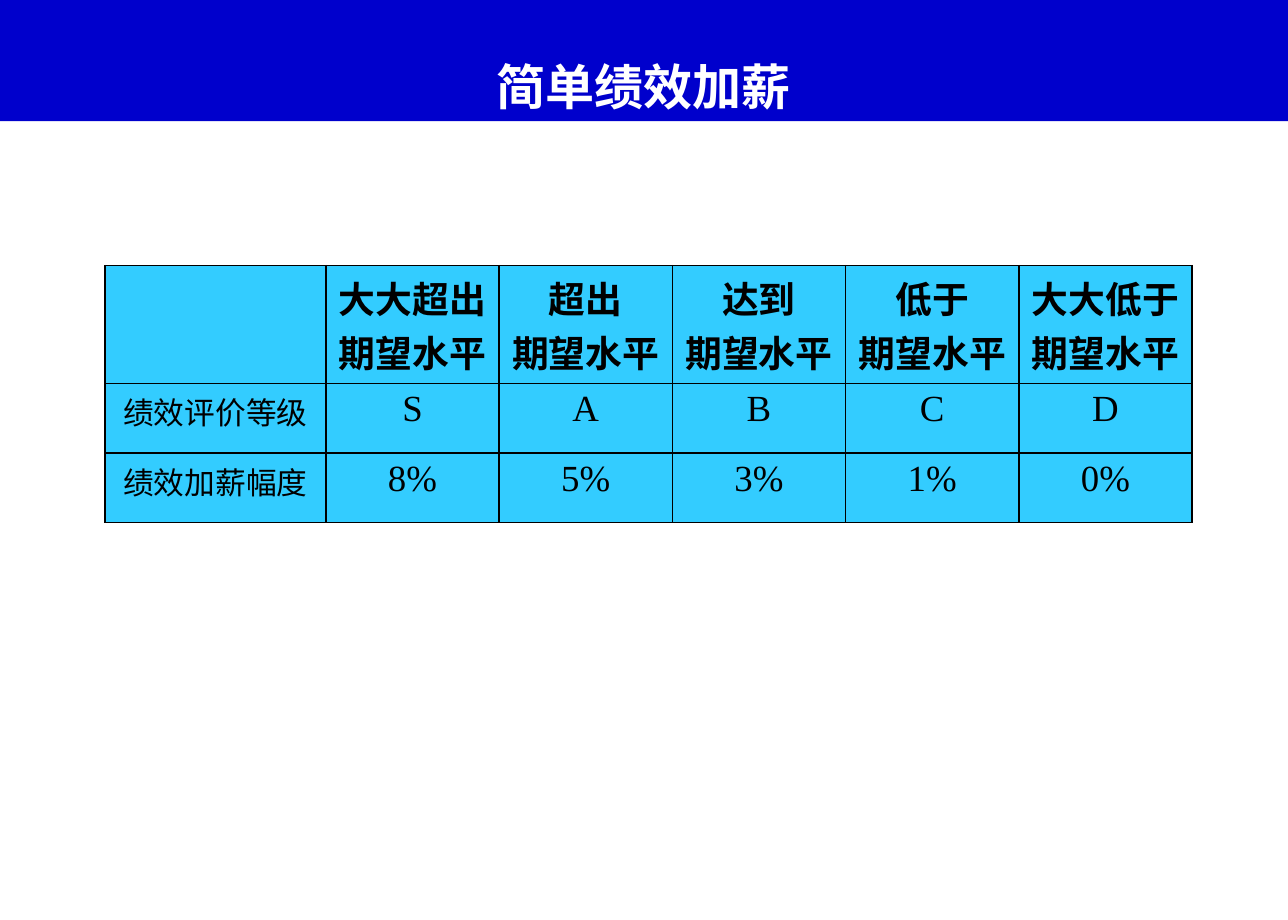
from pptx import Presentation
from pptx.dml.color import RGBColor
from pptx.enum.text import MSO_ANCHOR as Anchor, MSO_AUTO_SIZE as AutoSize, PP_ALIGN as Align
from pptx.oxml.ns import qn
from pptx.util import Pt
from lxml.etree import SubElement

BLUE = RGBColor(0x00, 0x00, 0xCC)
SKY = RGBColor(0x33, 0xCC, 0xFF)
BLACK = RGBColor(0x00, 0x00, 0x00)
WHITE = RGBColor(0xFF, 0xFF, 0xFF)
CHINESE_FONT = "Noto Sans CJK SC"
LATIN_FONT = "Times New Roman"

COLUMN_WIDTHS = [144] + [113] * 5
ROW_HEIGHTS = [75.6, 45.4, 45.4]
HANGING = Pt(31)
LEVELS = ["大大超出", "超出", "达到", "低于", "大大低于"]
ROWS = [
    [""] + [f"{level}\n期望水平" for level in LEVELS],
    ["绩效评价等级", "S", "A", "B", "C", "D"],
    ["绩效加薪幅度", "8%", "5%", "3%", "1%", "0%"],
]


def add_span(para, text, size, color, bold, latin):
    span = para.add_run()
    span.text = text
    font = span.font
    font.size = Pt(size)
    font.bold = bold
    font.color.rgb = color
    font.name = latin
    SubElement(font._element, qn("a:ea"), typeface=CHINESE_FONT)


def add_title(page, text):
    box = page.shapes.title
    box.left, box.top, box.width, box.height = Pt(0), Pt(0), Pt(840), Pt(79)
    box.fill.solid()
    box.fill.fore_color.rgb = BLUE
    frame = box.text_frame
    frame.auto_size = AutoSize.NONE
    frame.word_wrap = True
    frame.vertical_anchor = Anchor.BOTTOM
    frame.margin_left = frame.margin_right = Pt(8)
    frame.margin_top = frame.margin_bottom = Pt(4)
    para = frame.paragraphs[0]
    para.alignment = Align.CENTER
    para.line_spacing = 3.3
    add_span(para, text, 32, WHITE, True, CHINESE_FONT)


def add_borders(cell):
    properties = cell._tc.get_or_add_tcPr()
    for side in ("lnL", "lnR", "lnT", "lnB"):
        line = SubElement(properties, qn(f"a:{side}"), w=str(Pt(1)))
        fill = SubElement(line, qn("a:solidFill"))
        SubElement(fill, qn("a:srgbClr"), val=str(BLACK))


def fill_cell(cell, text, size, bold):
    add_borders(cell)
    cell.fill.solid()
    cell.fill.fore_color.rgb = SKY
    frame = cell.text_frame
    for index, line in enumerate(text.split("\n") if text else []):
        para = frame.add_paragraph() if index else frame.paragraphs[0]
        para.alignment = Align.CENTER
        properties = para._p.get_or_add_pPr()
        properties.set("marL", str(HANGING))
        properties.set("indent", str(-HANGING))
        add_span(para, line, size, BLACK, bold, LATIN_FONT)


def add_raise_table(page):
    table = page.shapes.add_table(
        len(ROWS), len(COLUMN_WIDTHS), Pt(68.5), Pt(173.2),
        Pt(sum(COLUMN_WIDTHS)), Pt(sum(ROW_HEIGHTS))).table
    table.first_row = table.horz_banding = False
    for column, width in zip(table.columns, COLUMN_WIDTHS):
        column.width = Pt(width)
    for row, height, texts in zip(table.rows, ROW_HEIGHTS, ROWS):
        row.height = Pt(height)
        is_header = texts is ROWS[0]
        for number, (cell, text) in enumerate(zip(row.cells, texts)):
            fill_cell(cell, text, 24 if number else 20, is_header)


def main():
    deck = Presentation()
    deck.slide_width, deck.slide_height = Pt(840), Pt(600)
    page = deck.slides.add_slide(deck.slide_layouts[5])
    add_title(page, "简单绩效加薪")
    add_raise_table(page)
    deck.save("out.pptx")


if __name__ == "__main__":
    main()
